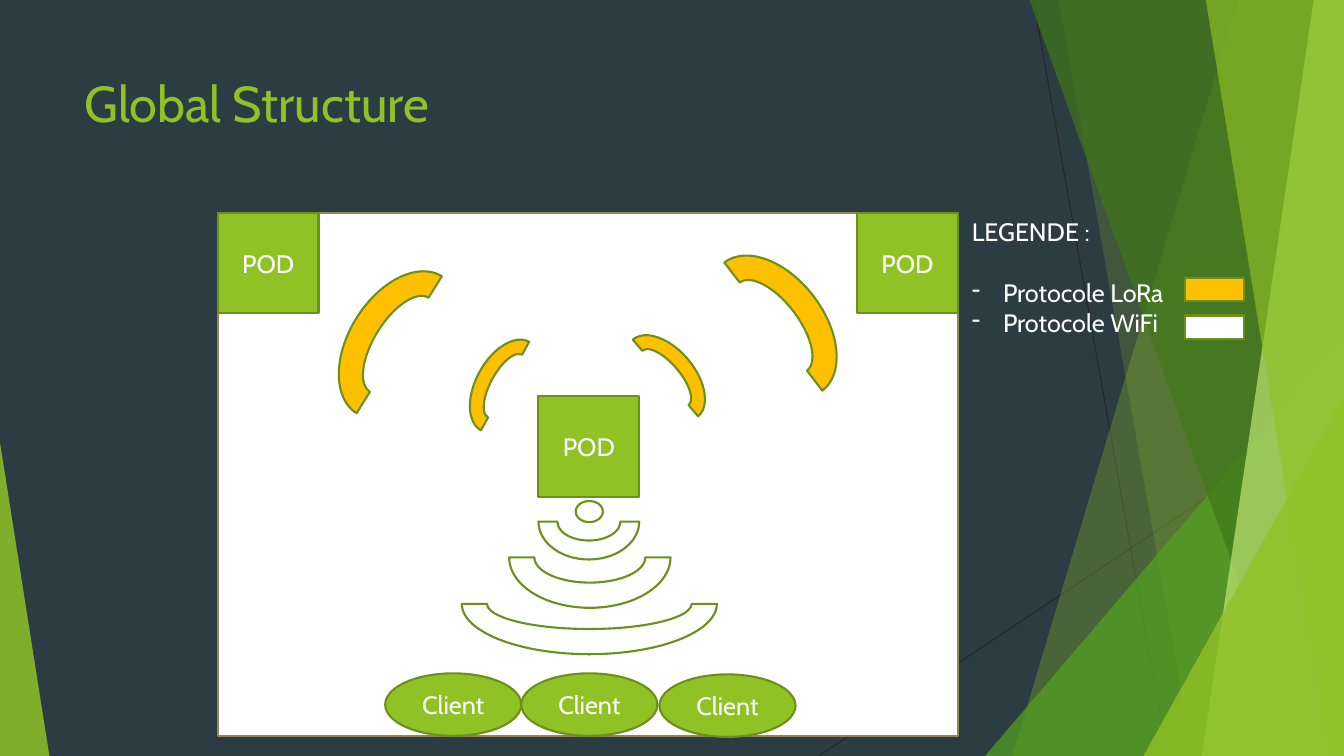
from lxml.etree import SubElement
from pptx import Presentation
from pptx.dml.color import RGBColor
from pptx.enum.shapes import MSO_CONNECTOR, MSO_SHAPE
from pptx.enum.text import MSO_ANCHOR, PP_ALIGN
from pptx.oxml.ns import qn
from pptx.util import Inches, Pt

COLORS = {
    "background": "2C3C43", "white": "FFFFFF", "green": "90C226",
    "outline": "6B901C", "lora": "FFC000", "frame": "918655",
    "hairline": "262626", "mid": "54A021", "dark": "3F7819", "pale": "C0E474",
}


def write(p, text, size=18, color="white", align=PP_ALIGN.LEFT):
    p.alignment = align
    r = p.add_run()
    r.text = text
    r.font.name = "Cabin"
    r.font.size = Pt(size)
    r.font.color.rgb = RGBColor.from_string(COLORS[color])


def style(shape, fill, line=None, alpha=None):
    """Set fill and outline; alpha is the opacity in percent."""
    shape.shadow.inherit = False
    shape.fill.solid()
    shape.fill.fore_color.rgb = RGBColor.from_string(COLORS[fill])
    if alpha:
        color = shape.fill._xPr.find(qn("a:solidFill"))[0]
        SubElement(color, qn("a:alpha"), val=str(alpha * 1000))
    if line:
        shape.line.color.rgb = RGBColor.from_string(COLORS[line])
        shape.line.width = Pt(1.5)
    else:
        shape.line.fill.background()


prs = Presentation()
prs.slide_width, prs.slide_height = Inches(13.33), Inches(7.5)
s = prs.slides.add_slide(prs.slide_layouts[5])
s.background.fill.solid()
s.background.fill.fore_color.rgb = RGBColor.from_string(COLORS["background"])

# Background hairlines
for ends in [(10.25, 0, 11.58, 7.5), (13.33, 4.03, 8.12, 7.5)]:
    hairline = s.shapes.add_connector(MSO_CONNECTOR.STRAIGHT, *map(Inches, ends))
    hairline.line.color.rgb = RGBColor.from_string(COLORS["hairline"])
    hairline.line.width = Pt(0.75)
    SubElement(hairline._element.spPr, qn("a:effectLst"))

# Translucent facets, back to front: bands (top x, bottom x) reach the right
# edge, triangles (left, top, width, apex) stand on the bottom edge
facets = [
    ("band", (12.28, 10.04), "green", 30),
    ("band", (10.5, 11.83), "green", 20),
    ("triangle", (9.77, 3.33, 3.56, 1), "mid", 72),
    ("band", (10.21, 12.91), "dark", 70),
    ("band", (13.03, 11.92), "pale", 70),
    ("band", (11.96, 13.18), "green", 65),
    ("triangle", (11.34, 3.93, 1.99, 1), "green", 80),
    ("triangle", (0, 4.39, 0.49, 0), "green", 85),
]
for kind, geometry, fill, alpha in facets:
    if kind == "band":
        top_x, bottom_x = map(Inches, geometry)
        builder = s.shapes.build_freeform(top_x, 0)
        builder.add_line_segments([
            (prs.slide_width, 0), (prs.slide_width, prs.slide_height),
            (bottom_x, prs.slide_height),
        ])
        facet = builder.convert_to_shape()
    else:
        left, top, width, apex = geometry
        facet = s.shapes.add_shape(
            MSO_SHAPE.ISOSCELES_TRIANGLE,
            *map(Inches, (left, top, width, 7.5 - top)))
        facet.adjustments[0] = apex
    style(facet, fill, alpha=alpha)

# Title
title = s.shapes.title
title.left, title.top, title.width, title.height = map(Inches, (0.74, 0.67, 8.26, 1.44))
title.text_frame.vertical_anchor = MSO_ANCHOR.TOP
write(title.text_frame.paragraphs[0], "Global Structure", size=36, color="green")

# Area covered by the pods
area = s.shapes.add_shape(MSO_SHAPE.RECTANGLE, *map(Inches, (2.16, 2.11, 7.34, 5.19)))
style(area, "white", "frame")

# Pods and clients
pods = [("POD", MSO_SHAPE.RECTANGLE, x, y, 1, 1)
        for x, y in [(5.34, 3.93), (2.16, 2.11), (8.5, 2.11)]]
clients = [("Client", MSO_SHAPE.OVAL, x, y, 1.35, 0.62)
           for x, y in [(3.82, 6.68), (5.17, 6.68), (6.54, 6.69)]]
for label, kind, *box in pods + clients:
    node = s.shapes.add_shape(kind, *map(Inches, box))
    style(node, "green", "outline")
    tf = node.text_frame
    tf.vertical_anchor = MSO_ANCHOR.MIDDLE
    write(tf.paragraphs[0], label, align=PP_ALIGN.CENTER)

# Radio waves: WiFi down to the clients, LoRa up to the corner pods
waves = [
    (5.34, 4.8, 1, 0.75, 180, "white"),
    (5.05, 5.03, 1.6, 1, 180, "white"),
    (4.58, 5.49, 2.53, 1, 180, "white"),
    (4.51, 3.54, 1, 0.58, 298.5, "lora"),
    (3.16, 2.92, 1.6, 1, 301.9, "lora"),
    (6.1, 3.46, 1, 0.58, 49.6, "lora"),
    (6.87, 2.74, 1.6, 1, 52.6, "lora"),
]
for *box, rotation, fill in waves:
    wave = s.shapes.add_shape(MSO_SHAPE.BLOCK_ARC, *map(Inches, box))
    wave.rotation = rotation
    style(wave, fill, "outline")

emitter = s.shapes.add_shape(MSO_SHAPE.OVAL, *map(Inches, (5.71, 4.97, 0.27, 0.21)))
style(emitter, "white", "outline")

# Legend
legend = s.shapes.add_textbox(*map(Inches, (9.54, 2.1, 2.2, 1.31)))
tf = legend.text_frame
tf.word_wrap = False
write(tf.paragraphs[0], "LEGENDE :")
tf.paragraphs[0].space_after = Pt(21.5)
protocols = [("Protocole LoRa", "lora", 2.76), ("Protocole WiFi", "white", 3.13)]
for name, fill, top in protocols:
    p = tf.add_paragraph()
    write(p, name)
    pPr = p._p.get_or_add_pPr()
    pPr.set("marL", str(Inches(0.31)))
    pPr.set("indent", str(Inches(-0.31)))
    SubElement(pPr, qn("a:buChar"), char="-")
    swatch = s.shapes.add_shape(
        MSO_SHAPE.RECTANGLE, *map(Inches, (11.75, top, 0.59, 0.23)))
    style(swatch, fill, "outline")

prs.save("out.pptx")
